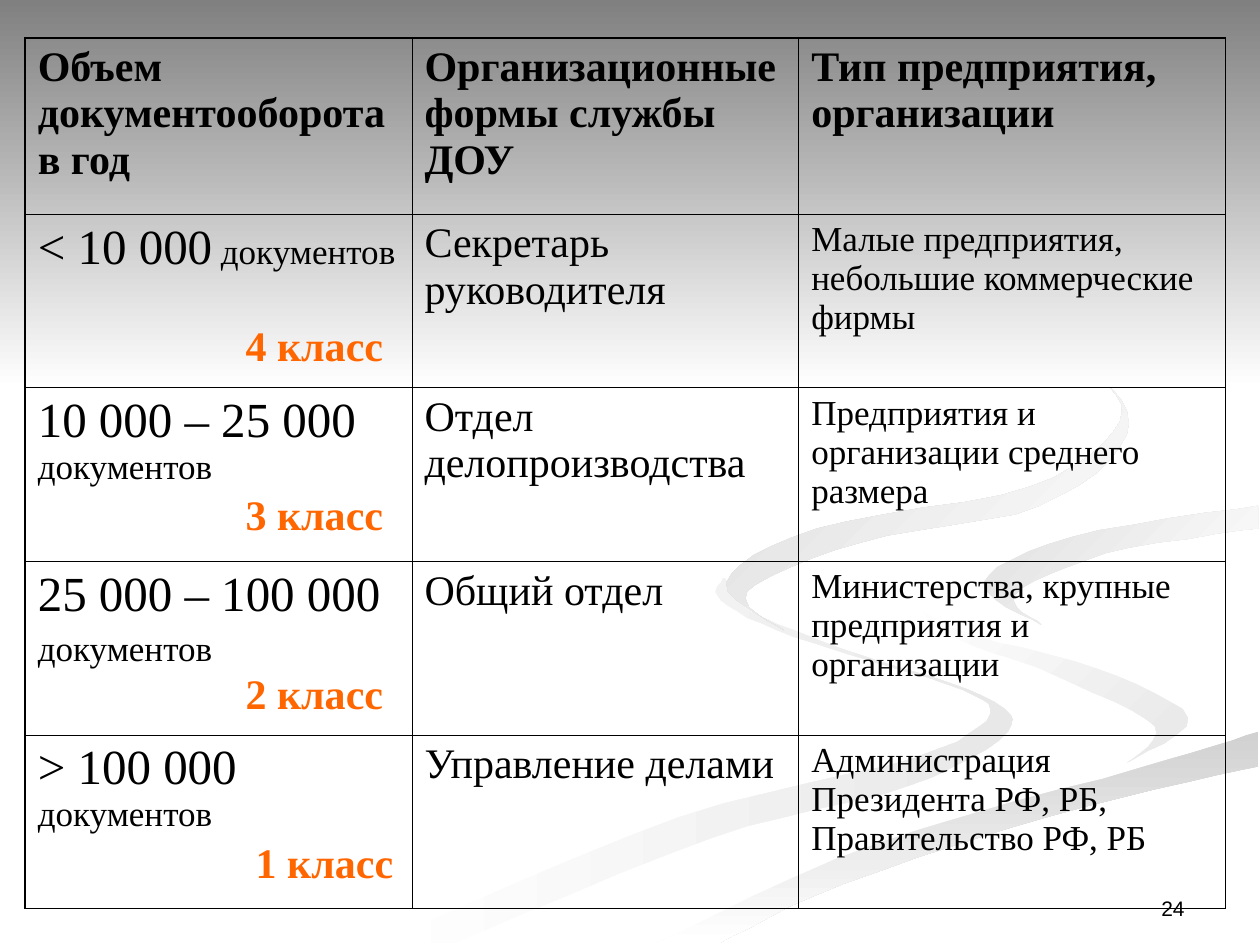
from pptx import Presentation
from pptx.dml.color import RGBColor
from pptx.enum.shapes import MSO_SHAPE
from pptx.enum.text import MSO_ANCHOR, MSO_AUTO_SIZE, PP_ALIGN
from pptx.oxml import parse_xml
from pptx.oxml.ns import nsdecls
from pptx.util import Pt

SERIF = "Times New Roman"
SLIDE_WIDTH, SLIDE_HEIGHT = 720, 540

# Edges shared by neighbouring ribbons, in points
BEND = [(719, 279), (613, 296), (522, 334), (546, 359), (627, 382), (679, 410),
        (644, 436), (507, 472), (343, 539)]
HOOK = [(719, 289), (612, 307), (562, 333), (595, 357)]
SHORE = [(719, 418), (650, 439), (501, 482), (374, 539)]

# Ribbons: start colour, end colour, clockwise gradient angle, edges in drawing order
RIBBONS = [
    ("FFFFFF", "E8E8E8", 0, [
        [(414, 330), (412, 343), (454, 364), (541, 391), (566, 408), (523, 433), (388, 467),
         (216, 539)],
        [(260, 539), (406, 479), (519, 449), (576, 418), (562, 398), (491, 374), (428, 349),
         (414, 330)]]),
    ("FFFFFF", "E8E8E8", 45, [
        BEND[2:7], [(644, 436), (660, 415), (603, 386), (537, 360), (522, 334)]]),
    ("D1D1D1", "FFFFFF", 90, [SHORE, [(411, 539), (482, 505), (620, 461), (719, 438)]]),
    ("FFFFFF", "FFFFFF", 0, [BEND, SHORE[::-1], [(719, 387), (651, 373), *HOOK[::-1]]]),
    ("E0E0E0", "FFFFFF", 45, [HOOK, [(595, 357), (580, 340), (632, 316), (719, 302)]]),
    ("D8D8D8", "FFFFFF", 45, [
        [(549, 168), (622, 210), (644, 248), (594, 289), (492, 310), (427, 338), (448, 360)],
        [(448, 360), (415, 333), (467, 302), (589, 278), (640, 241), (621, 210), (549, 168)]]),
]

HEADINGS = ["Объем документооборота в год", "Организационные формы службы ДОУ",
            "Тип предприятия, организации"]
# Volume, whether the unit stands on its own line, form of service, type of enterprise
CLASSES = [
    ("< 10 000", False, "Секретарь руководителя",
     "Малые предприятия, небольшие коммерческие фирмы"),
    ("10 000 – 25 000", False, "Отдел делопроизводства",
     "Предприятия и организации среднего размера"),
    ("25 000 – 100 000", True, "Общий отдел",
     "Министерства, крупные предприятия и организации"),
    ("> 100 000", False, "Управление делами",
     "Администрация Президента РФ, РБ, Правительство РФ, РБ"),
]
COLUMN_WIDTHS = [221, 221, 244]
ROW_HEIGHTS = [100.8] + [99.2] * 4
# Class labels: text, left and top within the table
CLASS_LABELS = [("4 класс", 118.8, 157.7), ("3 класс", 118.8, 254.2),
                ("2 класс", 118.8, 356.4), ("1 класс", 124.6, 452.9)]


def color(hex_string):
    return RGBColor.from_string(hex_string)


def add_text(paragraph, text, size, font=SERIF, bold=False, fill="000000", before=0,
             align=PP_ALIGN.LEFT):
    paragraph.alignment = align
    paragraph.space_before = Pt(before)
    run = paragraph.add_run()
    run.text = text
    run.font.name, run.font.size, run.font.bold = font, Pt(size), bold
    run.font.color.rgb = color(fill)


def paint_gradient(shape, start, end, angle):
    shape.shadow.inherit = False
    shape.line.fill.background()
    if start == end:
        shape.fill.solid()
        shape.fill.fore_color.rgb = color(start)
        return
    shape.fill.gradient()
    shape.fill.gradient_angle = (360 - angle) % 360
    for stop, hex_string, position in zip(shape.fill.gradient_stops, (start, end), (0, 1)):
        stop.color.rgb = color(hex_string)
        stop.position = position


def smooth_edge(points, steps=6):
    """Catmull-Rom curve through the points."""
    padded = [points[0], *points, points[-1]]
    curve = []
    for knots in zip(padded, padded[1:], padded[2:], padded[3:]):
        for step in range(steps):
            t = step / steps
            curve.append(tuple(
                b + t * (c - a) / 2 + t**2 * (2*a - 5*b + 4*c - d) / 2
                + t**3 * (3*b - a - 3*c + d) / 2
                for a, b, c, d in zip(*knots)))
    return curve + [points[-1]]


def add_backdrop(slide, left, top, width):
    # Ribbons
    for start, end, angle, edges in RIBBONS:
        outline = [point for edge in edges for point in smooth_edge(edge)]
        builder = slide.shapes.build_freeform(*outline[0], scale=Pt(1))
        builder.add_line_segments(outline[1:], close=True)
        paint_gradient(builder.convert_to_shape(Pt(left), Pt(top)), start, end, angle)
    # Grey band fading downwards
    band = slide.shapes.add_shape(MSO_SHAPE.RECTANGLE, Pt(left), Pt(top), Pt(width), Pt(222))
    paint_gradient(band, "808080", "FFFFFF", 90)


def set_borders(cell, **widths):
    properties = cell._tc.get_or_add_tcPr()
    for index, side in enumerate("LRTB"):
        properties.insert(index, parse_xml(
            f'<a:ln{side} {nsdecls("a")} w="{Pt(widths[side])}"><a:solidFill>'
            f'<a:srgbClr val="000000"/></a:solidFill></a:ln{side}>'))


def add_class_table(slide, left, top):
    rows, columns = len(ROW_HEIGHTS), len(COLUMN_WIDTHS)
    table = slide.shapes.add_table(rows, columns, Pt(left), Pt(top), Pt(sum(COLUMN_WIDTHS)),
                                   Pt(sum(ROW_HEIGHTS))).table
    table.first_row = table.horz_banding = False
    for column, width in zip(table.columns, COLUMN_WIDTHS):
        column.width = Pt(width)
    for row, height in zip(table.rows, ROW_HEIGHTS):
        row.height = Pt(height)

    # Thick outer frame, thin inner grid
    for r in range(rows):
        for c in range(columns):
            cell = table.cell(r, c)
            cell.fill.background()
            edges = {"L": c == 0, "R": c == columns - 1, "T": r == 0, "B": r == rows - 1}
            set_borders(cell, **{side: 1.08 if outer else 0.45
                                 for side, outer in edges.items()})

    # Wording
    for c, heading in enumerate(HEADINGS):
        add_text(table.cell(0, c).text_frame.paragraphs[0], heading, 24, bold=True, before=6)
    for r, (volume, own_line, service, enterprise) in enumerate(CLASSES, start=1):
        frame = table.cell(r, 0).text_frame
        add_text(frame.paragraphs[0], volume, 28, before=7 if own_line else 5)
        if own_line:
            add_text(frame.add_paragraph(), "документов", 20, before=5)
        else:
            add_text(frame.paragraphs[0], " документов", 20, before=5)
        add_text(table.cell(r, 1).text_frame.paragraphs[0], service, 24, before=6)
        add_text(table.cell(r, 2).text_frame.paragraphs[0], enterprise, 20, before=5)


def add_class_labels(slide, left, top):
    for text, x, y in CLASS_LABELS:
        frame = slide.shapes.add_textbox(Pt(left + x), Pt(top + y), Pt(93), Pt(36)).text_frame
        frame.word_wrap = False
        frame.auto_size = MSO_AUTO_SIZE.SHAPE_TO_FIT_TEXT
        add_text(frame.paragraphs[0], text, 24, bold=True, fill="FF6600")


def add_page_number(slide, left, top, width, height):
    frame = slide.shapes.add_textbox(Pt(left), Pt(top), Pt(width), Pt(height)).text_frame
    frame.word_wrap = True
    frame.vertical_anchor = MSO_ANCHOR.BOTTOM
    add_text(frame.paragraphs[0], "24", 12, font="Arial", align=PP_ALIGN.RIGHT)


def main():
    presentation = Presentation()
    presentation.slide_width, presentation.slide_height = Pt(SLIDE_WIDTH), Pt(SLIDE_HEIGHT)
    slide = presentation.slides.add_slide(presentation.slide_layouts[6])
    add_backdrop(slide, 0, 0, SLIDE_WIDTH)
    add_page_number(slide, 516, 492, 168, 37.5)
    add_class_table(slide, 14.4, 21.6)
    add_class_labels(slide, 14.4, 21.6)
    presentation.save("out.pptx")


if __name__ == "__main__":
    main()
